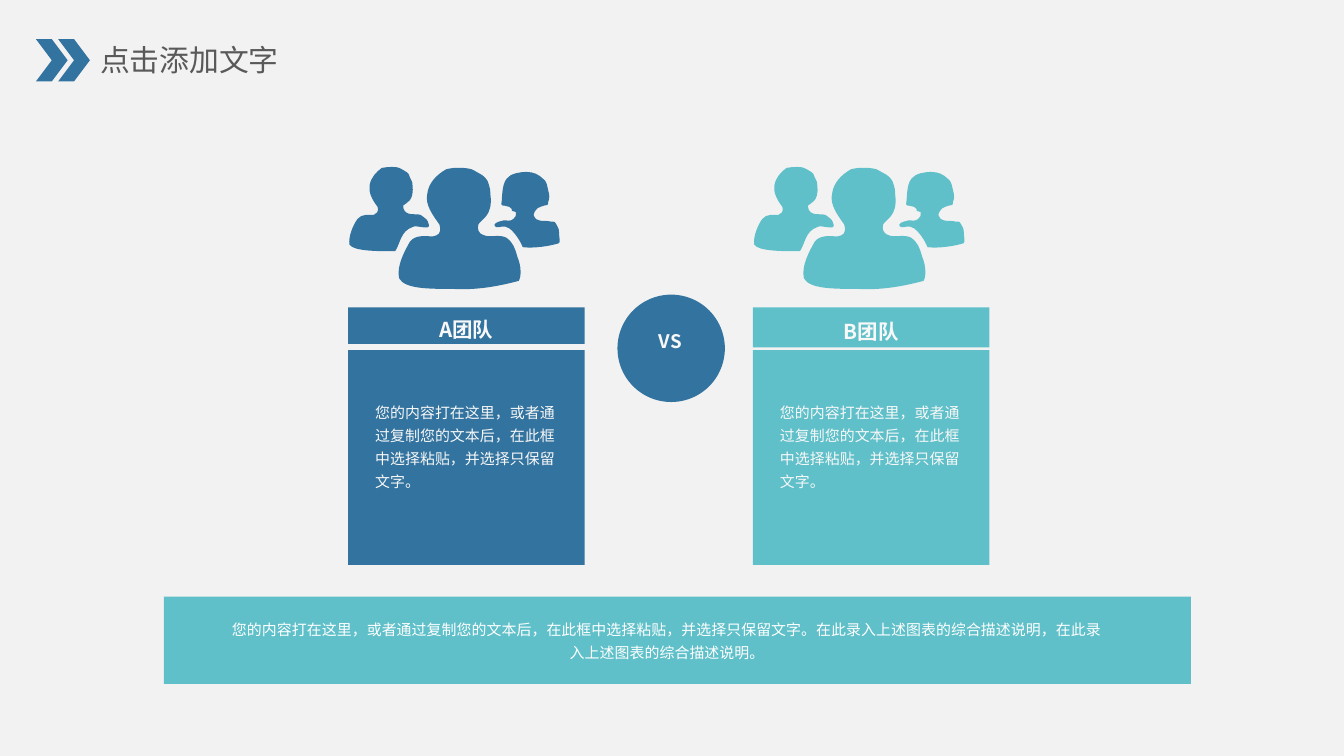
from dataclasses import dataclass
from lxml.etree import SubElement
from pptx import Presentation
from pptx.dml.color import RGBColor as Rgb
from pptx.enum.shapes import MSO_SHAPE as Preset
from pptx.enum.text import MSO_ANCHOR as Anchor, MSO_AUTO_SIZE as AutoSize, PP_ALIGN as Align
from pptx.oxml.ns import qn
from pptx.util import Cm, Pt


@dataclass(frozen=True)
class Theme:
    font: str = "Noto Sans CJK SC"
    backdrop: Rgb = Rgb(0xF2, 0xF2, 0xF2)
    blue: Rgb = Rgb(0x33, 0x73, 0x9F)
    teal: Rgb = Rgb(0x5F, 0xC0, 0xC9)
    heading: Rgb = Rgb(0x59, 0x59, 0x59)
    light: Rgb = Rgb(0xF8, 0xF8, 0xF8)
    white: Rgb = Rgb(0xFF, 0xFF, 0xFF)
    title_size: int = 16
    team_size: int = 11
    versus_size: int = 10
    body_size: int = 8


@dataclass(frozen=True)
class Box:
    left: float
    top: float
    width: float
    height: float

    def lengths(self) -> tuple:
        return Cm(self.left), Cm(self.top), Cm(self.width), Cm(self.height)


@dataclass(frozen=True)
class Team:
    name: str
    color: Rgb
    left: float
    header_height: float


THEME = Theme()
TEAM_LEFT, TEAM_STEP = 6.58, 7.65
TEAMS = (
    Team("A团队", THEME.blue, TEAM_LEFT, 0.69),
    Team("B团队", THEME.teal, TEAM_LEFT + TEAM_STEP, 0.76),
)
TEAM_TEXT = "您的内容打在这里，或者通过复制您的文本后，在此框中选择粘贴，并选择只保留文字。"
SUMMARY = TEAM_TEXT + "在此录入上述图表的综合描述说明，在此录入上述图表的综合描述说明。"

# Outlines of the three people: a start point, then three points per Bézier curve
UNIT = Cm(2.54) / 100
FRONT_PERSON = (
    (353, 127), (358, 130), (360, 130), (363, 135), (365, 141), (365, 142), (365, 145),
    (367, 161), (358, 163), (356, 167), (355, 170), (356, 174), (360, 175),
    (364, 177), (372, 174), (377, 177), (382, 181), (383, 184), (385, 191),
    (388, 198), (388, 206), (386, 209), (371, 213), (355, 216), (337, 215),
    (319, 215), (301, 215), (297, 207), (295, 198), (301, 187), (305, 180),
    (309, 174), (319, 176), (322, 176), (326, 175), (329, 174), (327, 167),
    (322, 160), (316, 152), (318, 144), (319, 136), (325, 130), (332, 126),
    (339, 124), (348, 125), (351, 126),
)
LEFT_PERSON = (
    (299, 126), (302, 128), (304, 128), (305, 132), (307, 136), (307, 136), (307, 139),
    (308, 150), (302, 151), (300, 153), (300, 156), (301, 158), (304, 159),
    (306, 160), (311, 159), (313, 160), (317, 163), (318, 163), (319, 167),
    (321, 172), (309, 167), (307, 169), (298, 172), (298, 181), (294, 187),
    (281, 187), (263, 187), (260, 182), (259, 176), (263, 167), (266, 163),
    (269, 159), (275, 160), (278, 160), (280, 159), (282, 158), (281, 154),
    (277, 149), (274, 143), (275, 138), (276, 132), (280, 128), (284, 125),
    (289, 124), (295, 124), (297, 125),
)
RIGHT_PERSON = (
    (373, 152), (374, 148), (373, 138), (377, 133), (380, 129), (387, 128), (392, 128),
    (397, 128), (401, 130), (404, 133), (407, 135), (407, 138), (408, 142),
    (409, 145), (409, 148), (408, 150), (408, 153), (407, 153), (405, 153),
    (403, 154), (401, 154), (400, 155), (398, 157), (397, 159), (397, 160),
    (398, 162), (398, 163), (401, 164), (404, 165), (407, 164), (410, 165),
    (413, 165), (413, 165), (414, 167), (415, 169), (416, 170), (416, 173),
    (416, 176), (417, 180), (416, 181), (410, 183), (398, 185), (389, 184),
    (387, 179), (383, 173), (379, 170), (375, 167), (371, 170), (369, 169),
    (367, 168), (368, 167), (369, 166), (370, 165), (372, 165), (375, 164),
    (377, 164), (380, 165), (382, 163), (384, 162), (384, 160), (384, 158),
    (384, 157), (382, 158), (381, 157), (381, 156), (381, 155), (379, 154),
    (378, 153), (376, 154), (375, 153), (374, 153), (374, 153), (374, 153),
)


def paint(shape, color: Rgb) -> None:
    shape.shadow.inherit = False
    shape.fill.solid()
    shape.fill.fore_color.rgb = color
    shape.line.fill.background()


def add_block(shapes, preset: Preset, box: Box, color: Rgb):
    block = shapes.add_shape(preset, *box.lengths())
    paint(block, color)
    return block


def write(holder, text: str, *, size: int, color: Rgb = THEME.light, bold: bool = False,
          align: Align = Align.CENTER, anchor: Anchor = Anchor.TOP, spacing: float = 1.3,
          inset: tuple = (0.18, 0.08), wrap: bool = True) -> None:
    frame = holder.text_frame
    frame.word_wrap = wrap
    frame.auto_size = AutoSize.NONE
    frame.vertical_anchor = anchor
    frame.margin_left = frame.margin_right = Cm(inset[0])
    frame.margin_top = frame.margin_bottom = Cm(inset[1])
    paragraph = frame.paragraphs[0]
    paragraph.alignment = align
    paragraph.line_spacing = spacing
    run = paragraph.add_run()
    run.text = text
    run.font.size = Pt(size)
    run.font.bold = bold
    run.font.color.rgb = color
    run.font.name = THEME.font
    # East Asian glyphs take their own typeface
    SubElement(run.font._element, qn("a:ea"), typeface=THEME.font)


def bend(outline_shape) -> None:
    """Join each three straight segments into one cubic Bézier curve."""
    segments = list(outline_shape._element.iter(qn("a:lnTo")))
    for curve, *others in zip(segments[::3], segments[1::3], segments[2::3]):
        curve.tag = qn("a:cubicBezTo")
        for segment in others:
            curve.append(segment[0])
            segment.getparent().remove(segment)


def add_people(shapes, shift: float, color: Rgb) -> None:
    people = shapes.add_group_shape()
    for start, *controls in (FRONT_PERSON, LEFT_PERSON, RIGHT_PERSON):
        pen = people.shapes.build_freeform(*start, scale=UNIT)
        pen.add_line_segments(controls, close=True)
        person = pen.convert_to_shape(Cm(shift), 0)
        bend(person)
        paint(person, color)


def add_team(shapes, team: Team) -> None:
    add_people(shapes, team.left - TEAM_LEFT, team.color)
    header = add_block(shapes, Preset.RECTANGLE,
                       Box(team.left, 5.81, 4.47, team.header_height), team.color)
    write(header, team.name, size=THEME.team_size, bold=True, anchor=Anchor.MIDDLE)
    add_block(shapes, Preset.RECTANGLE, Box(team.left, 6.62, 4.47, 4.06), team.color)
    description = shapes.add_textbox(*Box(team.left + 0.33, 7.44, 3.89, 1.96).lengths())
    write(description, TEAM_TEXT, size=THEME.body_size, align=Align.LEFT)


def main() -> None:
    deck = Presentation()
    deck.slide_width, deck.slide_height = Cm(25.4), Cm(14.29)
    slide = deck.slides.add_slide(deck.slide_layouts[5])
    slide.background.fill.solid()
    slide.background.fill.fore_color.rgb = THEME.backdrop
    shapes = slide.shapes

    # Heading with double chevron
    title = shapes.title
    title.left, title.top, title.width, title.height = Box(1.71, 0.68, 4.98, 0.86).lengths()
    write(title, "点击添加文字", size=THEME.title_size, color=THEME.heading,
          align=Align.LEFT, spacing=1.0, inset=(0.18, 0.1))
    for index in range(2):
        add_block(shapes, Preset.CHEVRON, Box(0.68 + 0.42 * index, 0.74, 0.6, 0.8), THEME.blue)

    # Two teams side by side
    for team in TEAMS:
        add_team(shapes, team)

    # Versus badge
    badge = shapes.add_group_shape().shapes
    add_block(badge, Preset.OVAL, Box(11.67, 5.57, 2.03, 2.03), THEME.blue)
    versus = badge.add_textbox(*Box(11.92, 5.98, 1.5, 1.14).lengths())
    write(versus, "VS", size=THEME.versus_size, bold=True, inset=(0.25, 0.13), wrap=False)

    # Summary banner
    add_block(shapes, Preset.RECTANGLE, Box(3.1, 11.28, 19.41, 1.65), THEME.teal)
    summary = shapes.add_textbox(*Box(4.29, 11.58, 16.64, 0.97).lengths())
    write(summary, SUMMARY, size=THEME.body_size, color=THEME.white,
          anchor=Anchor.MIDDLE, inset=(0.08, 0.05))

    deck.save("out.pptx")


if __name__ == "__main__":
    main()
